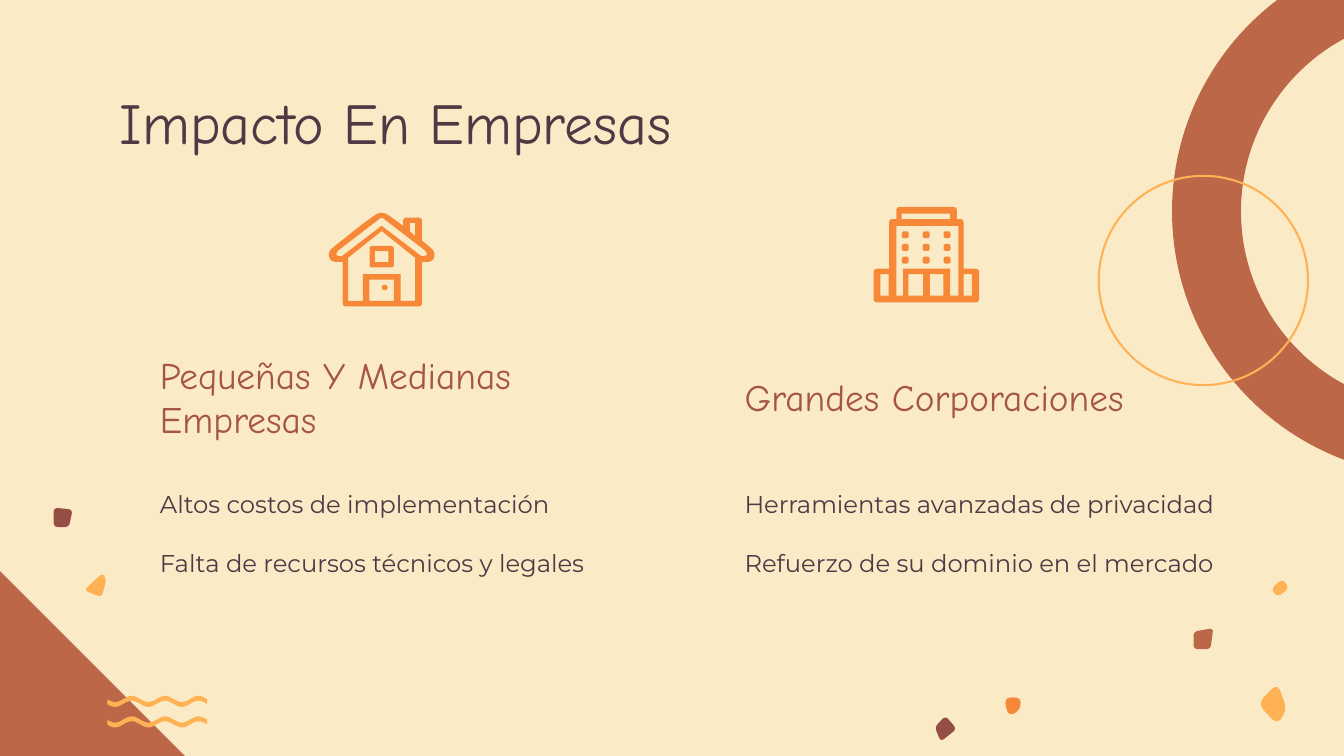
from math import cos, pi

from lxml.etree import SubElement
from pptx import Presentation
from pptx.dml.color import RGBColor
from pptx.enum.shapes import MSO_SHAPE
from pptx.enum.text import MSO_ANCHOR, MSO_AUTO_SIZE, PP_ALIGN
from pptx.oxml.ns import qn
from pptx.util import Pt

HUES = {"sand": "FBEAC6", "clay": "BC6748", "gold": "FFB253", "fire": "F78838",
        "wine": "944E44", "plum": "4F3945", "rust": "A55548"}

HEAD = {"name": "Comic Neue", "size": Pt(31), "bold": False}
SUB = {"name": "Comic Neue", "size": Pt(20), "bold": False}
BODY = {"name": "Montserrat", "size": Pt(13), "bold": False}
FRAME = {"word_wrap": True, "auto_size": MSO_AUTO_SIZE.NONE,
         "margin_left": Pt(7.2), "margin_right": Pt(7.2),
         "margin_top": Pt(7.2), "margin_bottom": Pt(7.2)}

# Placeholder index, box, lines, font, colour, anchor
TEXTS = [
    (0, (56.9, 42.5, 607, 44.6), ["Impacto En Empresas"],
     HEAD, "plum", MSO_ANCHOR.MIDDLE),
    (1, (78.5, 191.5, 281.5, 41.8), ["Pequeñas Y Medianas Empresas"],
     SUB, "rust", MSO_ANCHOR.MIDDLE),
    (2, (78.5, 254.9, 281.5, 77),
     ["Altos costos de implementación", "Falta de recursos técnicos y legales"],
     BODY, "plum", MSO_ANCHOR.TOP),
    (3, (391.7, 191.5, 236.2, 41.8), ["Grandes Corporaciones"],
     SUB, "rust", MSO_ANCHOR.MIDDLE),
    (4, (391.7, 254.9, 308.2, 77),
     ["Herramientas avanzadas de privacidad", "Refuerzo de su dominio en el mercado"],
     BODY, "plum", MSO_ANCHOR.TOP),
]

# Colour, corner radius, corners
STONES = [
    ("gold", 5, [(684.4, 366), (689.5, 380), (684.4, 388.3), (673.8, 377)]),
    ("fire", 4, [(538, 373.7), (547, 373.7), (546.5, 380), (542.5, 383), (539.5, 382)]),
    ("gold", 2.5, [(55, 307), (57, 310.5), (54.5, 320), (45, 316.3)]),
    ("wine", 2.5, [(28.8, 272), (38.9, 273), (37, 282.4), (28.8, 282.4)]),
    ("wine", 2.5, [(506.5, 383.5), (512.5, 390.5), (504, 397.3), (500.8, 389.5)]),
    ("gold", 3.5, [(687, 310), (690.8, 315), (684.5, 320), (680.8, 315.5)]),
    ("clay", 2.5, [(639.4, 338.4), (650, 336.5), (648.5, 347.8), (639.4, 347.8)]),
]


def tint(name):
    return RGBColor.from_string(HUES[name])


def paint(shape, hue):
    shape.shadow.inherit = False
    shape.fill.solid()
    shape.fill.fore_color.rgb = tint(hue)
    shape.line.fill.background()
    return shape


def preset(slide, kind, box, hue):
    return paint(slide.shapes.add_shape(kind, *map(Pt, box)), hue)


def outline(slide, rings, hue):
    """Fill a set of closed rings; inner rings become holes."""
    pen = None
    for ring in rings:
        dots = [(Pt(x), Pt(y)) for x, y in ring]
        if pen is None:
            pen = slide.shapes.build_freeform(*dots[0], scale=1.0)
        else:
            pen.move_to(*dots[0])
        pen.add_line_segments(dots[1:], close=True)
    return paint(pen.convert_to_shape(), hue)


def box(left, top, right, low):
    return [(left, top), (right, top), (right, low), (left, low)]


def bend(ring, size):
    """Round the outward corners of a clockwise ring; a corner may carry its own size."""
    out = []
    for i, (x, y, *own) in enumerate(ring):
        ax, ay = ring[i - 1][:2]
        bx, by = ring[(i + 1) % len(ring)][:2]
        if (x - ax) * (by - y) - (y - ay) * (bx - x) <= 0:
            out.append((x, y))
            continue
        ends = []
        for ex, ey in ((ax, ay), (bx, by)):
            span = ((ex - x) ** 2 + (ey - y) ** 2) ** 0.5
            cut = min(own[0] if own else size, span / 2) / span
            ends.append((x + (ex - x) * cut, y + (ey - y) * cut))
        (px, py), (qx, qy) = ends
        for step in range(7):
            t = step / 6
            u = 1 - t
            out.append((u * u * px + 2 * u * t * x + t * t * qx,
                        u * u * py + 2 * u * t * y + t * t * qy))
    return out


def wave(slide, mid):
    xs = [57.5 + i * 53.5 / 80 for i in range(81)]
    line = [(x, mid - 1.65 * cos(2 * pi * (x - 70.6) / 17.9)) for x in xs]
    over = [(x, y - 1.3) for x, y in line]
    under = [(x, y + 1.3) for x, y in reversed(line)]
    outline(slide, [over + under], "gold")


def write(slide, slot, area, lines, font, hue, anchor):
    shape = slide.placeholders[slot]
    shape.left, shape.top, shape.width, shape.height = map(Pt, area)
    frame = shape.text_frame
    for key, val in {**FRAME, "vertical_anchor": anchor}.items():
        setattr(frame, key, val)
    for i, line in enumerate(lines):
        para = frame.paragraphs[0] if i == 0 else frame.add_paragraph()
        props = para._p.get_or_add_pPr()
        props.set("marL", "0")
        props.set("indent", "0")
        SubElement(props, qn("a:buNone"))
        para.alignment = PP_ALIGN.LEFT
        para.space_before = Pt(15.8 if i else 0)
        run = para.add_run()
        run.text = line
        for key, val in font.items():
            setattr(run.font, key, val)
        run.font.color.rgb = tint(hue)


def tower(slide):
    for row in range(3):
        for col in range(3):
            spot = (483.1 + 11.2 * col, 123.9 + 6.8 * row, 3.7, 3.7)
            preset(slide, MSO_SHAPE.ROUNDED_RECTANGLE, spot, "fire").adjustments[0] = 0.3
    wall = [(480.2, 110.9), (512.6, 110.9), (512.6, 117.4), (516.2, 117.4),
            (516.2, 144), (524.5, 144), (524.5, 162), (468, 162),
            (468, 144), (476.3, 144), (476.3, 117.4), (480.2, 117.4)]
    hall = [(480.2, 121), (513.4, 121), (513.4, 158.4), (509, 158.4),
            (509, 144), (483.8, 144), (483.8, 158.4), (480.2, 158.4)]
    doors = [box(left, 146.9, right, 158.4) for left, right in
             ((471.6, 476), (486.7, 494.6), (498.2, 505.4), (516.2, 520.6))]
    outline(slide, [bend(wall, 2), hall, box(483.1, 114.5, 509, 117.4), *doors], "fire")


def house(slide):
    wall = [(204.5, 112.6, 5), (216, 121), (216, 116.6), (226.1, 116.6),
            (226.1, 128.9), (233.5, 135, 4), (231.8, 140.4, 4), (226.1, 140.4),
            (226.1, 164.2), (183.6, 164.2), (183.6, 140.4), (177.2, 140.4, 4),
            (175.5, 135, 4), (193, 121)]
    roof = [(204.5, 116.4), (228.2, 134.6), (229, 136.8), (226.1, 137.5),
            (204.5, 121), (182.9, 137.5), (180, 136.8), (180.8, 134.6)]
    room = [(204.5, 123.8), (222.5, 138.2), (222.5, 161.3), (214.6, 161.3),
            (214.6, 146.9), (194.4, 146.9), (194.4, 161.3), (186.5, 161.3),
            (186.5, 138.2)]
    flue = [(219.6, 119.5), (222.5, 119.5), (222.5, 126.7), (219.6, 123.8)]
    outline(slide, [bend(wall, 2), bend(roof, 1.2), room, flue,
                    box(198, 149.8, 211, 161.3)], "fire")
    # Window and door knob
    outline(slide, [bend(box(198, 131.8, 211, 143.3), 1.5),
                    box(200.9, 134.6, 208.1, 140.4)], "fire")
    preset(slide, MSO_SHAPE.OVAL, (204.5, 152.6, 3.3, 2.9), "fire")


def main():
    deck = Presentation()
    deck.slide_width, deck.slide_height = Pt(720), Pt(405)
    slide = deck.slides.add_slide(deck.slide_layouts[4])
    slide.background.fill.solid()
    slide.background.fill.fore_color.rgb = tint("sand")

    # Corner, waves and stones
    preset(slide, MSO_SHAPE.RIGHT_TRIANGLE, (0, 306, 99.5, 99.5), "clay")
    for mid in (375.8, 386.8):
        wave(slide, mid)
    for hue, size, ring in STONES:
        outline(slide, [bend(ring, size)], hue)

    # Title and two columns
    for text in TEXTS:
        write(slide, *text)

    # Ring and thin circle
    ring = preset(slide, MSO_SHAPE.DONUT, (627.9, -28.8, 284.2, 284.2), "clay")
    ring.adjustments[0] = 0.13
    loop = preset(slide, MSO_SHAPE.OVAL, (588.6, 94.2, 112.1, 112.1), "gold")
    loop.fill.background()
    loop.line.color.rgb = tint("gold")
    loop.line.width = Pt(1.1)

    # Icons
    tower(slide)
    house(slide)
    deck.save("out.pptx")


if __name__ == "__main__":
    main()
